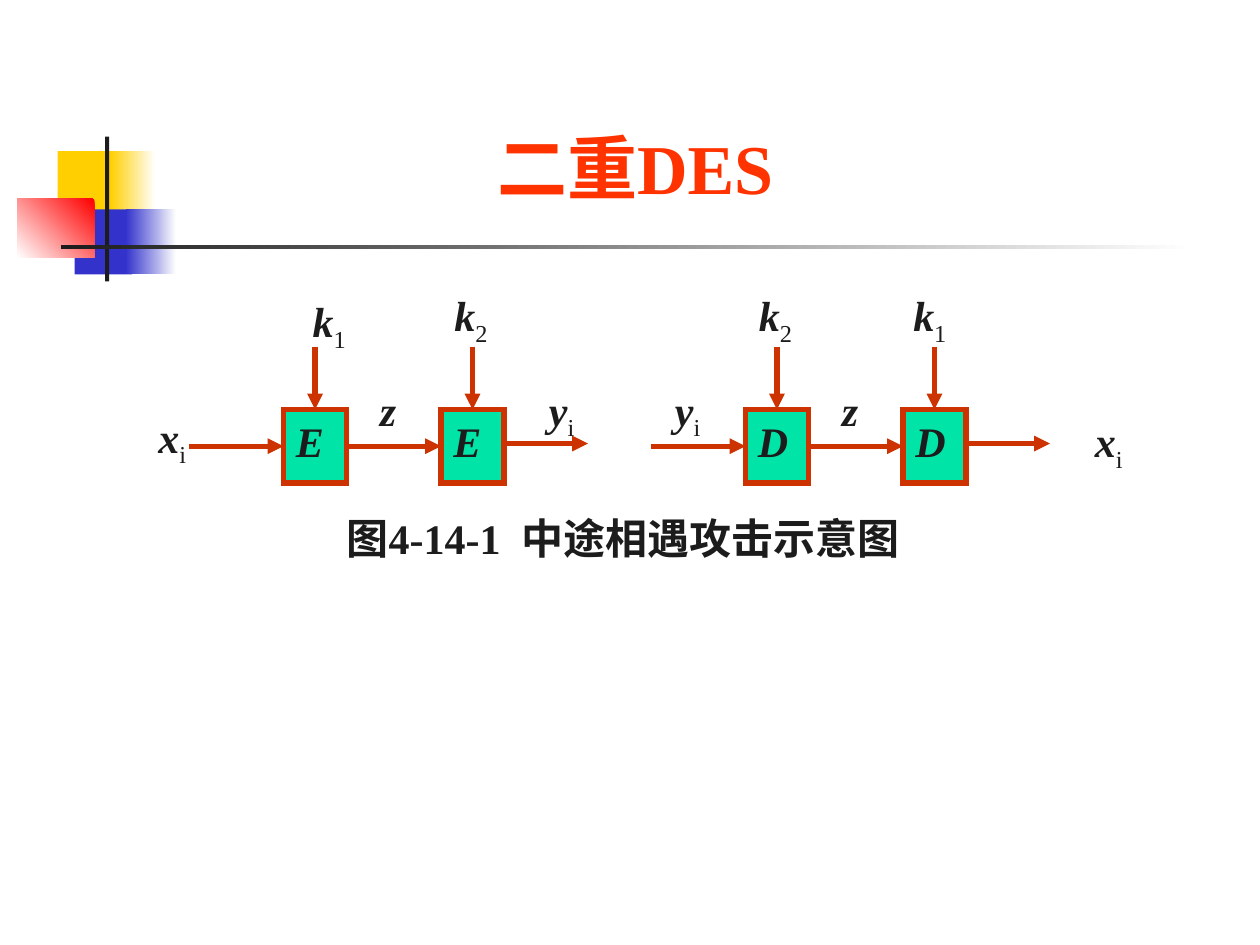
import pptx
import pptx.dml.color
import pptx.enum.shapes
import pptx.enum.text
import pptx.oxml.ns
import pptx.util
from lxml import etree

COLUMNS, ROWS = 120, 90
CELL = pptx.util.Inches(10) // COLUMNS
FONT_NAME = "Times New Roman"
COLORS = {
    "white": "FFFFFF", "yellow": "FFCF01", "blue": "3333CC", "red": "FF0000",
    "ink": "1C1C1C", "title": "FF3300", "box": "00E4A8", "line": "CC3300",
}
SYMBOL = {"name": FONT_NAME, "size": pptx.util.Pt(24), "bold": True, "italic": True}
SUBSCRIPT = SYMBOL | {"bold": False, "italic": False}
CAPTION = SYMBOL | {"italic": False}
TITLE = CAPTION | {"size": pptx.util.Pt(40)}

BOX_WIDTH, BOX_HEIGHT, BOX_ROW = 6, 7, 39
KEY_ROW, FLOW_ROW, OUTPUT_ROW = 33, 42.5, 42.25
STAGE_STEP, INPUT_LENGTH, OUTPUT_LENGTH = 15, 9, 8
LABEL_WIDTHS = {"z": 4.4, "E": 5.4, "D": 5.7, "x": 5.6, "y": 5.4, "k": 6.2}
CHAINS = [(27, "E"), (71, "D")]
LABELS = [
    (35, 36, "z", ""), (79, 36, "z", ""),
    (13.9, 38.6, "x", "i"), (103.1, 39, "x", "i"),
    (51.1, 36, "y", "i"), (63.1, 36, "y", "i"),
    (28.6, 27.6, "k", "1"), (85.8, 27, "k", "1"),
    (42.1, 27, "k", "2"), (71.1, 27, "k", "2"),
]
DECORATIONS = [
    (5.5, 14.4, 5.8, 6.2, "yellow", None),
    (10.5, 14.4, 4.3, 6.2, "yellow", 0),
    (7.1, 19.95, 5.5, 6.2, "blue", None),
    (12, 19.95, 4.8, 6.2, "blue", 0),
    (1.65, 18.95, 7.35, 5.55, "red", 225),
    (10, 13, 0.4, 13.8, "ink", None),
    (5.8, 23.35, 108, 0.4, "ink", 0),
]


def grid(*cells):
    return [round(cell * CELL) for cell in cells]


def color(name):
    return pptx.dml.color.RGBColor.from_string(COLORS[name])


def set_values(target, values):
    for name, value in values.items():
        setattr(target, name, value)


def add_element(parent, tag, **attributes):
    return etree.SubElement(parent, pptx.oxml.ns.qn(tag), **attributes)


def add_run(paragraph, text, values, color_name="ink"):
    run = paragraph.add_run()
    run.text = text
    set_values(run.font, values)
    run.font.color.rgb = color(color_name)
    return run


def add_rectangle(shapes, place, color_name):
    shape = shapes.add_shape(pptx.enum.shapes.MSO_SHAPE.RECTANGLE, *grid(*place))
    shape.shadow.inherit = False
    shape.fill.solid()
    shape.fill.fore_color.rgb = color(color_name)
    shape.line.fill.background()
    return shape


def add_decoration(shapes, place, color_name, angle):
    shape = add_rectangle(shapes, place, color_name)
    if angle is not None:
        shape.fill.gradient()
        shape.fill.gradient_angle = angle
        for stop, name in zip(shape.fill.gradient_stops, (color_name, "white")):
            stop.color.rgb = color(name)


def style_line(line):
    line.color.rgb = color("line")
    line.width = pptx.util.Pt(3)
    add_element(line._get_or_add_ln(), "a:miter", lim="800000")


def add_arrow(shapes, start, end):
    arrow = shapes.add_connector(
        pptx.enum.shapes.MSO_CONNECTOR.STRAIGHT, *grid(*start, *end))
    style_line(arrow.line)
    add_element(arrow.line._get_or_add_ln(), "a:tailEnd", type="triangle")
    add_element(arrow._element.spPr, "a:effectLst")


def add_label(shapes, column, row, symbol, subscript=""):
    height = 6.7 if subscript else 6
    label = shapes.add_textbox(*grid(column, row, LABEL_WIDTHS[symbol], height))
    label.text_frame.word_wrap = True
    paragraph = label.text_frame.paragraphs[0]
    add_run(paragraph, symbol, SYMBOL)
    if subscript:
        run = add_run(paragraph, subscript, SUBSCRIPT)
        run.font._element.set("baseline", "-25000")


def add_stage(shapes, column, letter):
    box = add_rectangle(shapes, (column, BOX_ROW, BOX_WIDTH, BOX_HEIGHT), "box")
    style_line(box.line)
    center = column + BOX_WIDTH / 2
    add_arrow(shapes, (center, KEY_ROW), (center, BOX_ROW))
    add_arrow(shapes, (column - INPUT_LENGTH, FLOW_ROW), (column, FLOW_ROW))
    add_label(shapes, column, BOX_ROW, letter)


def add_chain(shapes, column, letter):
    last = column + STAGE_STEP
    for stage in (column, last):
        add_stage(shapes, stage, letter)
    end = last + BOX_WIDTH
    add_arrow(shapes, (end, OUTPUT_ROW), (end + OUTPUT_LENGTH, OUTPUT_ROW))


def fill_placeholder(placeholder, place, text, values, color_name, anchor, alignment):
    set_values(placeholder, dict(zip(("left", "top", "width", "height"), grid(*place))))
    set_values(placeholder.text_frame, {
        "vertical_anchor": anchor, "word_wrap": True,
        "auto_size": pptx.enum.text.MSO_AUTO_SIZE.NONE,
    })
    paragraph = placeholder.text_frame.paragraphs[0]
    set_values(paragraph, {"alignment": alignment, "space_before": pptx.util.Pt(0)})
    properties = paragraph._element.get_or_add_pPr()
    properties.set("marL", "0")
    properties.set("indent", "0")
    add_element(properties, "a:buNone")
    add_run(paragraph, text, values, color_name)


def main():
    presentation = pptx.Presentation()
    presentation.slide_width, presentation.slide_height = grid(COLUMNS, ROWS)
    slide = presentation.slides.add_slide(presentation.slide_layouts[1])
    anchors, alignments = pptx.enum.text.MSO_ANCHOR, pptx.enum.text.PP_ALIGN
    for *place, color_name, angle in DECORATIONS:
        add_decoration(slide.shapes, place, color_name, angle)
    fill_placeholder(slide.shapes.title, (3, 5.5, 115, 15), "二重DES",
                     TITLE, "title", anchors.BOTTOM, alignments.CENTER)
    fill_placeholder(slide.placeholders[1], (31.8, 47.8, 60, 6.8),
                     "图4-14-1  中途相遇攻击示意图",
                     CAPTION, "ink", anchors.MIDDLE, alignments.LEFT)
    diagram = slide.shapes.add_group_shape().shapes
    for column, letter in CHAINS:
        add_chain(diagram, column, letter)
    for label in LABELS:
        add_label(diagram, *label)
    presentation.save("out.pptx")


if __name__ == "__main__":
    main()
